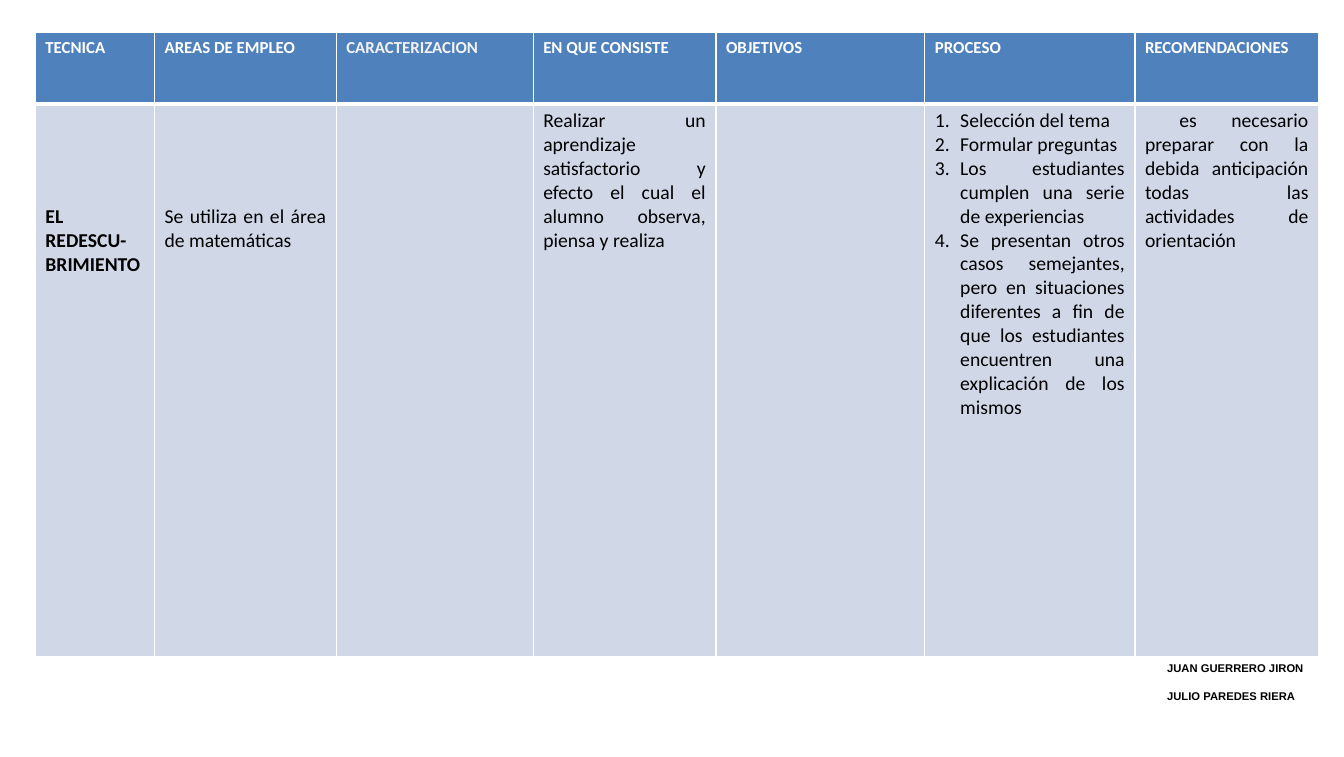
from dataclasses import dataclass

from lxml import etree
from pptx import Presentation
from pptx.dml.color import RGBColor
from pptx.enum.text import MSO_ANCHOR, PP_ALIGN
from pptx.oxml.ns import qn
from pptx.util import Pt

LEFT, JUSTIFY = PP_ALIGN.LEFT, PP_ALIGN.JUSTIFY
BOTTOM = MSO_ANCHOR.BOTTOM
PX = 9144


@dataclass(frozen=True)
class Theme:
    white: str = "FFFFFF"
    pale: str = "F2F2F2"
    black: str = "000000"
    blue: str = "4F81BD"
    mist: str = "D0D8E8"
    font: str = "Calibri"
    sign: str = "Arial"
    head: int = 12
    body: int = 14
    small: int = 8
    thin: int = 1
    thick: int = 3


THEME = Theme()

COLS = [118, 180, 195, 181, 207, 208, 182]
ROWS = [71, 548]
HEADS = ["TECNICA", "AREAS DE EMPLEO ", "CARACTERIZACION", "EN QUE CONSISTE ",
         "OBJETIVOS", "PROCESO", "RECOMENDACIONES"]
STEPS = [
    "Selección del tema ",
    "Formular preguntas",
    "Los estudiantes cumplen una serie de experiencias",
    "Se presentan otros casos semejantes, pero en situaciones diferentes a fin de "
    "que los estudiantes encuentren una explicación de los mismos",
]
BODY = [
    ["EL REDESCU-BRIMIENTO"],
    ["Se utiliza en el área de matemáticas"],
    [],
    ["Realizar un aprendizaje satisfactorio y efecto el cual el alumno observa, "
     "piensa y realiza"],
    [],
    STEPS,
    [" es necesario preparar con la debida anticipación todas las actividades "
     "de orientación"],
]
LOWERED = (0, 1)
NAMES = ["JUAN GUERRERO JIRON", "JULIO PAREDES RIERA"]


def write(frame, lines, size, color, font=THEME.font, bold=False, align=LEFT,
          gap=0, number=False):
    for i, line in enumerate(lines):
        para = frame.add_paragraph() if i else frame.paragraphs[0]
        para.text = line
        para.alignment = align
        if i and gap:
            para.space_before = Pt(gap)
        if number:
            props = para._p.get_or_add_pPr()
            props.set("marL", str(25 * PX))
            props.set("indent", str(-25 * PX))
            etree.SubElement(props, qn("a:buAutoNum"), type="arabicPeriod")
        para.font.size = Pt(size)
        para.font.name = font
        para.font.bold = bold
        para.font.color.rgb = RGBColor.from_string(color)


def paint(cell, fill, top, bottom):
    cell.fill.solid()
    cell.fill.fore_color.rgb = RGBColor.from_string(fill)
    props = cell._tc.get_or_add_tcPr()
    sides = [("L", THEME.thin), ("R", THEME.thin), ("T", top), ("B", bottom)]
    for i, (side, width) in enumerate(sides):
        line = etree.Element(qn("a:ln" + side), w=str(Pt(width)))
        solid = etree.SubElement(line, qn("a:solidFill"))
        etree.SubElement(solid, qn("a:srgbClr"), val=THEME.white)
        props.insert(i, line)


def add_grid(slide, x, y, w, h):
    frame = slide.shapes.add_table(len(ROWS), len(COLS), x * PX, y * PX, w * PX, h * PX)
    table = frame.table
    table.first_row = table.horz_banding = False
    for col, width in zip(table.columns, COLS):
        col.width = width * PX
    for row, height in zip(table.rows, ROWS):
        row.height = height * PX
    for i, (head, lines) in enumerate(zip(HEADS, BODY)):
        top, low = table.cell(0, i), table.cell(1, i)
        paint(top, THEME.blue, THEME.thin, THEME.thick)
        paint(low, THEME.mist, THEME.thick, THEME.thin)
        color = THEME.pale if head == "CARACTERIZACION" else THEME.white
        write(top.text_frame, [head], THEME.head, color, bold=True, align=JUSTIFY)
        if i in LOWERED:
            low.margin_top = 100 * PX
        write(low.text_frame, lines, THEME.body, THEME.black, bold=i == 0,
              align=JUSTIFY if i else LEFT, number=lines is STEPS)


def add_names(slide, x, y, w, h):
    frame = slide.shapes.add_textbox(x * PX, y * PX, w * PX, h * PX).text_frame
    frame.word_wrap = True
    frame.vertical_anchor = BOTTOM
    write(frame, NAMES, THEME.small, THEME.black, font=THEME.sign, bold=True, gap=10)


def main():
    deck = Presentation()
    deck.slide_width, deck.slide_height = 1331 * PX, 750 * PX
    slide = deck.slides.add_slide(deck.slide_layouts[6])
    add_grid(slide, 35, 32, sum(COLS), sum(ROWS))
    add_names(slide, 1146, 666, 185, 35)
    deck.save("out.pptx")


if __name__ == "__main__":
    main()
